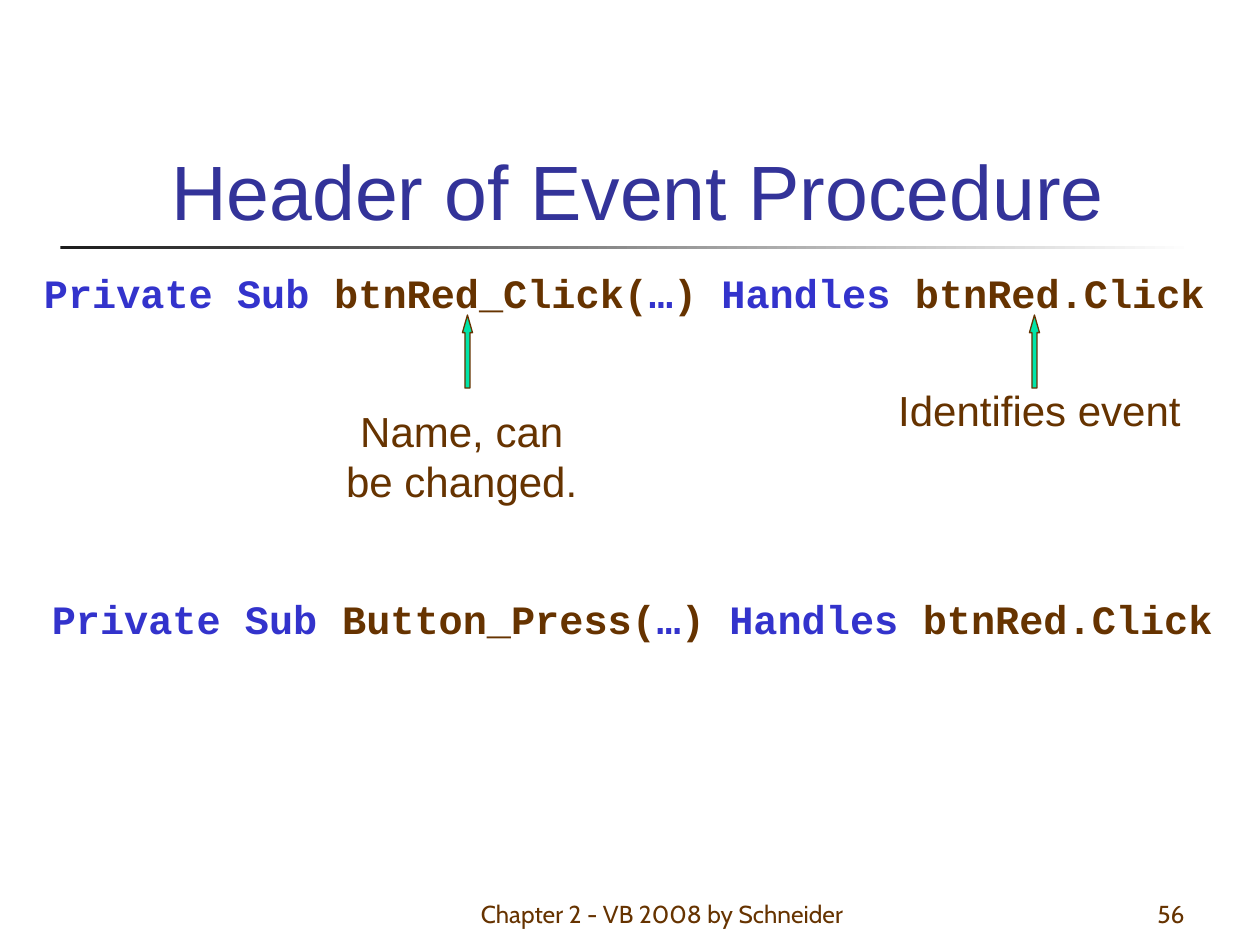
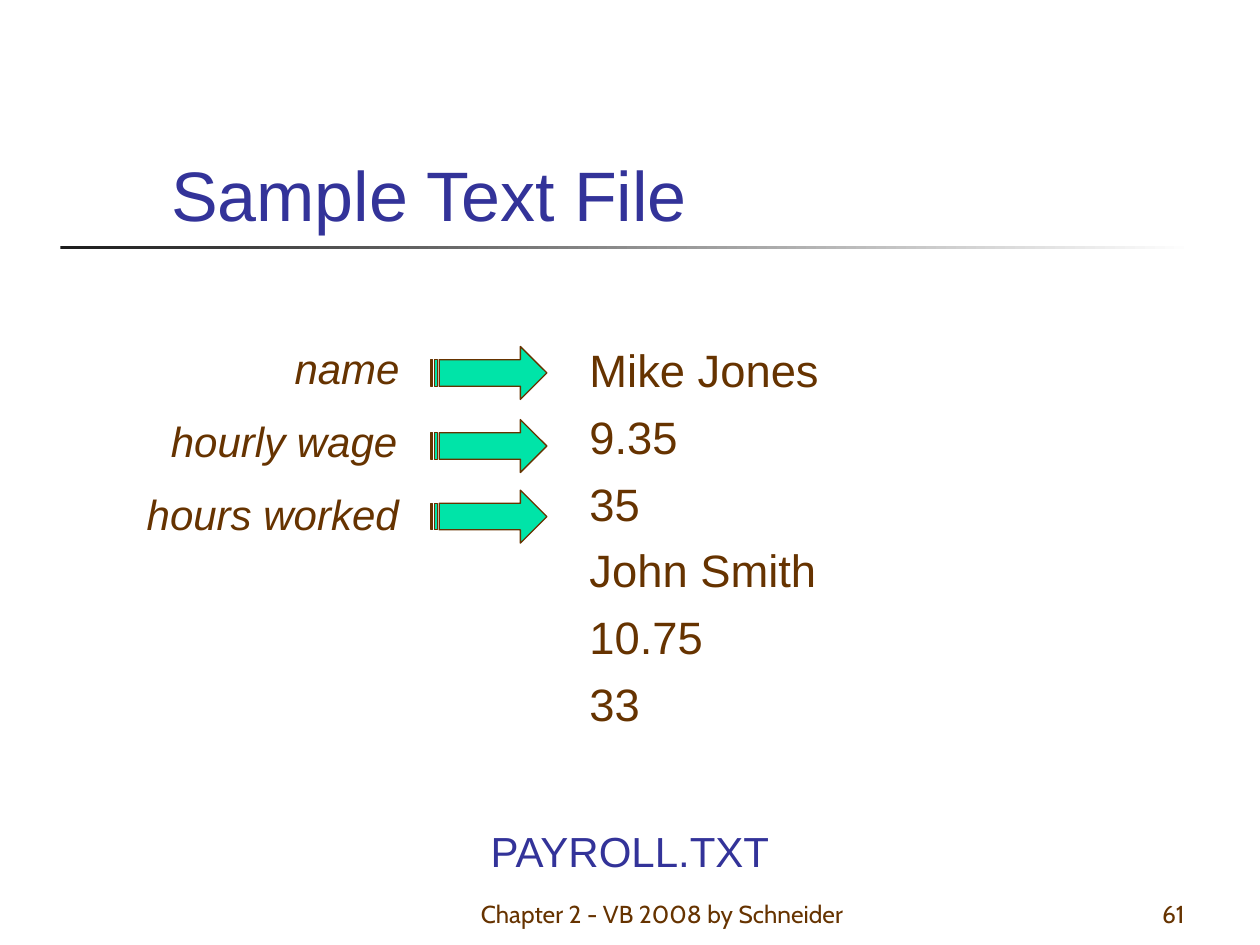
import pptx
import pptx.util
import pptx.dml.color
import pptx.enum.shapes
import pptx.enum.text

Inches = pptx.util.Inches
Pt = pptx.util.Pt
RGBColor = pptx.dml.color.RGBColor
Shape = pptx.enum.shapes.MSO_SHAPE
Align = pptx.enum.text.PP_ALIGN
Anchor = pptx.enum.text.MSO_ANCHOR

BROWN = RGBColor(0x66, 0x33, 0x00)
NAVY = RGBColor(0x33, 0x33, 0x99)
KEYWORD_BLUE = RGBColor(0x33, 0x33, 0xCC)
GREEN = RGBColor(0x00, 0xE4, 0xA8)
CHARCOAL = RGBColor(0x1C, 0x1C, 0x1C)
WHITE = RGBColor(0xFF, 0xFF, 0xFF)

FOOTER = "Chapter 2 - VB 2008 by Schneider"


def add_frame(page, place, anchor=Anchor.TOP, wrap=True):
    box = page.shapes.add_textbox(*map(Inches, place))
    frame = box.text_frame
    frame.word_wrap = wrap
    frame.vertical_anchor = anchor
    return frame


def style(para, size, color, name="Arial", align=Align.CENTER, bold=False, italic=False):
    para.alignment = align
    font = para.font
    font.size, font.name = Pt(size), name
    font.bold, font.italic = bold, italic
    font.color.rgb = color


def add_text(page, place, text, size=24, color=BROWN, anchor=Anchor.TOP, **look):
    para = add_frame(page, place, anchor).paragraphs[0]
    para.text = text
    style(para, size, color, **look)


def add_code(page, place, procedure, align, wrap):
    para = add_frame(page, place, wrap=wrap).paragraphs[0]
    style(para, 23, BROWN, "Courier New", align, bold=True)
    for text, color in (
        ("Private Sub ", KEYWORD_BLUE),
        (procedure + "(", BROWN),
        ("…", KEYWORD_BLUE),
        (") ", BROWN),
        ("Handles", KEYWORD_BLUE),
        (" btnRed.Click", BROWN),
    ):
        span = para.add_run()
        span.text = text
        span.font.color.rgb = color


def add_records(page, place, lines):
    frame = add_frame(page, place)
    for index, line in enumerate(lines):
        para = frame.add_paragraph() if index else frame.paragraphs[0]
        para.text = line
        para.space_before = Pt(7)
        style(para, 25.9, BROWN, align=Align.LEFT)


def add_arrow(page, kind, place, head):
    arrow = page.shapes.add_shape(kind, *map(Inches, place))
    arrow.shadow.inherit = False
    arrow.adjustments[0] = 0.5
    arrow.adjustments[1] = head
    arrow.fill.solid()
    arrow.fill.fore_color.rgb = GREEN
    arrow.line.color.rgb = BROWN
    arrow.line.width = Pt(0.75)


def add_rule(page):
    rule = page.shapes.add_shape(Shape.RECTANGLE, *map(Inches, (0.48, 1.95, 9, 0.03)))
    rule.shadow.inherit = False
    rule.line.fill.background()
    rule.fill.gradient()
    rule.fill.gradient_angle = 0
    for stop, color in zip(rule.fill.gradient_stops, (CHARCOAL, WHITE)):
        stop.color.rgb = color


def add_page(deck, title, title_size, number):
    page = deck.slides.add_slide(deck.slide_layouts[6])
    add_rule(page)
    footer_look = dict(size=14, name="Cabin", anchor=Anchor.BOTTOM)
    add_text(page, (3.67, 6.92, 3.17, 0.5), FOOTER, **footer_look)
    add_text(page, (7.42, 6.92, 2.08, 0.5), str(number), align=Align.RIGHT, **footer_look)
    add_text(page, (1.26, 0.67, 8.52, 1.25), title, title_size, NAVY,
             Anchor.BOTTOM, align=Align.LEFT)
    return page


def build_header_page(deck):
    page = add_page(deck, "Header of Event Procedure", 44, 56)
    add_code(page, (0.25, 2.08, 9.58, 0.5), "btnRed_Click", Align.LEFT, True)
    add_text(page, (7, 3, 2.5, 0.5), "Identifies event")
    add_text(page, (2.58, 3.17, 2.17, 0.9), "Name, can be changed.")
    for left in (3.67, 8.17):
        add_arrow(page, Shape.UP_ARROW, (left, 2.5, 0.08, 0.58), 1.75)
    add_code(page, (0.31, 4.67, 9.42, 0.49), "Button_Press", Align.CENTER, False)


def build_file_page(deck):
    page = add_page(deck, "Sample Text File", 40, 61)
    add_records(page, (4.58, 2.67, 2.67, 3.42),
                ("Mike Jones", "9.35", "35", "John Smith", "10.75", "33"))
    fields = (
        ("name", 2.17, 1.17, 2.75),
        ("hourly wage", 1.17, 2.17, 3.33),
        ("hours worked", 1, 2.33, 3.89),
    )
    for row, (field, left, width, arrow_top) in enumerate(fields):
        add_text(page, (left, 2.67 + 0.58 * row, width, 0.5), field, italic=True)
        add_arrow(page, Shape.STRIPED_RIGHT_ARROW, (3.42, arrow_top, 0.92, 0.42), 0.5)
    add_text(page, (3.25, 6.5, 3.5, 0.5), "PAYROLL.TXT", color=NAVY)


def main():
    deck = pptx.Presentation()
    deck.slide_width, deck.slide_height = Inches(10), Inches(7.5)
    build_header_page(deck)
    build_file_page(deck)
    deck.save("out.pptx")


if __name__ == "__main__":
    main()
